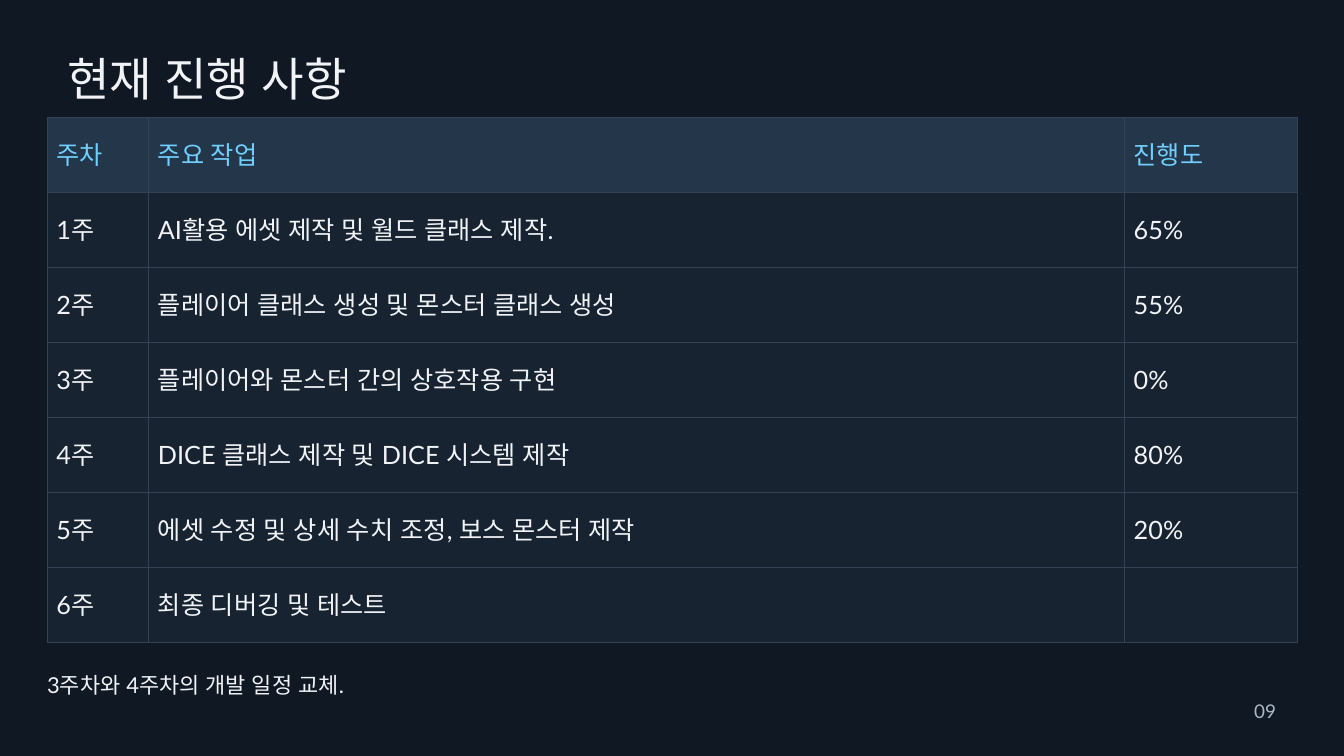
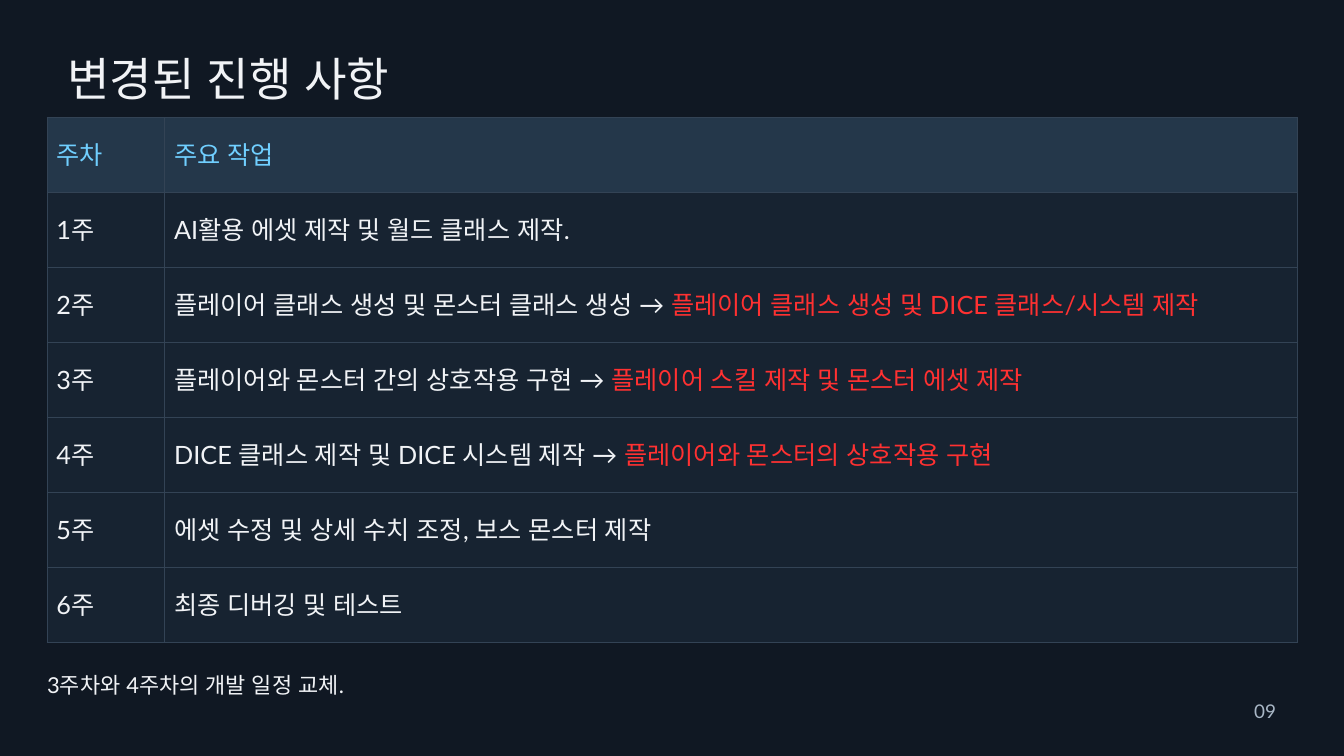
from dataclasses import dataclass

from lxml import etree
from pptx import Presentation
from pptx import util as u
from pptx.dml.color import RGBColor
from pptx.enum import text
from pptx.oxml import ns

BACKGROUND = RGBColor(0x10, 0x18, 0x23)
HEADER_FILL = RGBColor(0x24, 0x37, 0x4A)
BODY_FILL = RGBColor(0x17, 0x23, 0x31)
BORDER = RGBColor(0x33, 0x43, 0x55)
LIGHT = RGBColor(0xF1, 0xF3, 0xF6)
ACCENT = RGBColor(0x70, 0xCF, 0xFF)
CHANGED = RGBColor(0xFF, 0x31, 0x31)
MUTED = RGBColor(0xA9, 0xB7, 0xC6)

FONT = "Lato"
TITLE_ONLY_LAYOUT = 5
ROW_HEIGHT = 80.35
CELL_MARGIN = 10.08
BORDER_WIDTH = 0.75

TASKS = [
    "AI활용 에셋 제작 및 월드 클래스 제작.",
    "플레이어 클래스 생성 및 몬스터 클래스 생성",
    "플레이어와 몬스터 간의 상호작용 구현",
    "DICE 클래스 제작 및 DICE 시스템 제작",
    "에셋 수정 및 상세 수치 조정, 보스 몬스터 제작",
    "최종 디버깅 및 테스트",
]
PROGRESS = ["65%", "55%", "0%", "80%", "20%", ""]
REVISIONS = {
    2: "플레이어 클래스 생성 및 DICE 클래스/시스템 제작",
    3: "플레이어 스킬 제작 및 몬스터 에셋 제작",
    4: "플레이어와 몬스터의 상호작용 구현",
}


@dataclass(frozen=True)
class Box:
    left: float
    top: float
    width: float
    height: float

    def lengths(self) -> list[u.Length]:
        return [u.Pt(value) for value in (self.left, self.top, self.width, self.height)]


@dataclass(frozen=True)
class Cell:
    wording: str
    revision: str = ""


@dataclass(frozen=True)
class Schedule:
    title: str
    column_widths: list[float]
    rows: list[list[Cell]]


TITLE_BOX = Box(72, 54, 1296, 59)
NUMBER_BOX = Box(1294, 749.5, 73.2, 30)
NOTE_BOX = Box(50.4, 719.3, 1296, 28.1)
TABLE_LEFT, TABLE_TOP = 50.4, 126


def write(paragraph, wording: str, *, size: float, line: float, color: RGBColor = LIGHT,
          spacing: float = 0.1, align=text.PP_ALIGN.LEFT) -> None:
    paragraph.alignment = align
    paragraph.line_spacing = u.Pt(line)
    run = paragraph.add_run()
    run.text = wording
    run.font.size = u.Pt(size)
    run.font.name = FONT
    run.font.bold = False
    run.font.color.rgb = color
    properties = run._r.get_or_add_rPr()
    properties.set("spc", str(round(spacing * 100)))
    etree.SubElement(properties, ns.qn("a:ea"), typeface=FONT)


def prepare_frame(frame):
    frame.margin_left = frame.margin_right = frame.margin_top = frame.margin_bottom = 0
    frame.word_wrap = True
    frame.auto_size = text.MSO_AUTO_SIZE.SHAPE_TO_FIT_TEXT
    frame.vertical_anchor = text.MSO_ANCHOR.TOP
    return frame.paragraphs[0]


def add_title(slide, wording: str) -> None:
    title = slide.shapes.title
    title.left, title.top, title.width, title.height = TITLE_BOX.lengths()
    write(prepare_frame(title.text_frame), wording, size=49.5, line=59.4, spacing=0.2)


def add_label(slide, box: Box, wording: str, **style) -> None:
    shape = slide.shapes.add_textbox(*box.lengths())
    write(prepare_frame(shape.text_frame), wording, **style)


def set_borders(cell) -> None:
    properties = cell._tc.get_or_add_tcPr()
    for side in ("a:lnL", "a:lnR", "a:lnT", "a:lnB"):
        border = etree.SubElement(properties, ns.qn(side), w=str(u.Pt(BORDER_WIDTH)))
        fill = etree.SubElement(border, ns.qn("a:solidFill"))
        etree.SubElement(fill, ns.qn("a:srgbClr"), val=str(BORDER))


def format_cell(cell, content: Cell, is_header: bool) -> None:
    set_borders(cell)
    cell.fill.solid()
    cell.fill.fore_color.rgb = HEADER_FILL if is_header else BODY_FILL
    cell.vertical_anchor = text.MSO_ANCHOR.MIDDLE
    margin = u.Pt(CELL_MARGIN)
    cell.margin_left = cell.margin_right = cell.margin_top = cell.margin_bottom = margin
    paragraph = cell.text_frame.paragraphs[0]
    if content.wording:
        write(paragraph, content.wording, size=27, line=32.4,
              color=ACCENT if is_header else LIGHT)
    if content.revision:
        write(paragraph, content.revision, size=27, line=32.4, color=CHANGED)


def add_schedule_table(slide, schedule: Schedule) -> None:
    row_count = len(schedule.rows)
    box = Box(TABLE_LEFT, TABLE_TOP, sum(schedule.column_widths), row_count * ROW_HEIGHT)
    table = slide.shapes.add_table(
        row_count, len(schedule.column_widths), *box.lengths()).table
    table.first_row = table.horz_banding = False
    for column, width in zip(table.columns, schedule.column_widths):
        column.width = u.Pt(width)
    for row_index, contents in enumerate(schedule.rows):
        table.rows[row_index].height = u.Pt(ROW_HEIGHT)
        for column_index, content in enumerate(contents):
            format_cell(table.cell(row_index, column_index), content, row_index == 0)


def add_schedule_slide(presentation, schedule: Schedule) -> None:
    slide = presentation.slides.add_slide(presentation.slide_layouts[TITLE_ONLY_LAYOUT])
    add_title(slide, schedule.title)
    add_label(slide, NUMBER_BOX, "09", size=20.2, line=24.3, color=MUTED,
              align=text.PP_ALIGN.RIGHT)
    add_schedule_table(slide, schedule)
    add_label(slide, NOTE_BOX, "3주차와 4주차의 개발 일정 교체.", size=23.5, line=28.2)


def current_rows() -> list[list[Cell]]:
    header = [Cell("주차"), Cell("주요 작업"), Cell("진행도")]
    return [header] + [
        [Cell(f"{week}주"), Cell(task), Cell(progress)]
        for week, (task, progress) in enumerate(zip(TASKS, PROGRESS), start=1)
    ]


def revised_rows() -> list[list[Cell]]:
    rows = [[Cell("주차"), Cell("주요 작업")]]
    for week, task in enumerate(TASKS, start=1):
        revision = REVISIONS.get(week, "")
        wording = f"{task} → " if revision else task
        rows.append([Cell(f"{week}주"), Cell(wording, revision)])
    return rows


def main() -> None:
    presentation = Presentation()
    presentation.slide_width, presentation.slide_height = u.Pt(1440), u.Pt(810)
    background = presentation.slide_master.background.fill
    background.solid()
    background.fore_color.rgb = BACKGROUND
    schedules = [
        Schedule("현재 진행 사항", [108.6, 1045.6, 185], current_rows()),
        Schedule("변경된 진행 사항", [126, 1213.2], revised_rows()),
    ]
    for schedule in schedules:
        add_schedule_slide(presentation, schedule)
    presentation.save("out.pptx")


if __name__ == "__main__":
    main()
